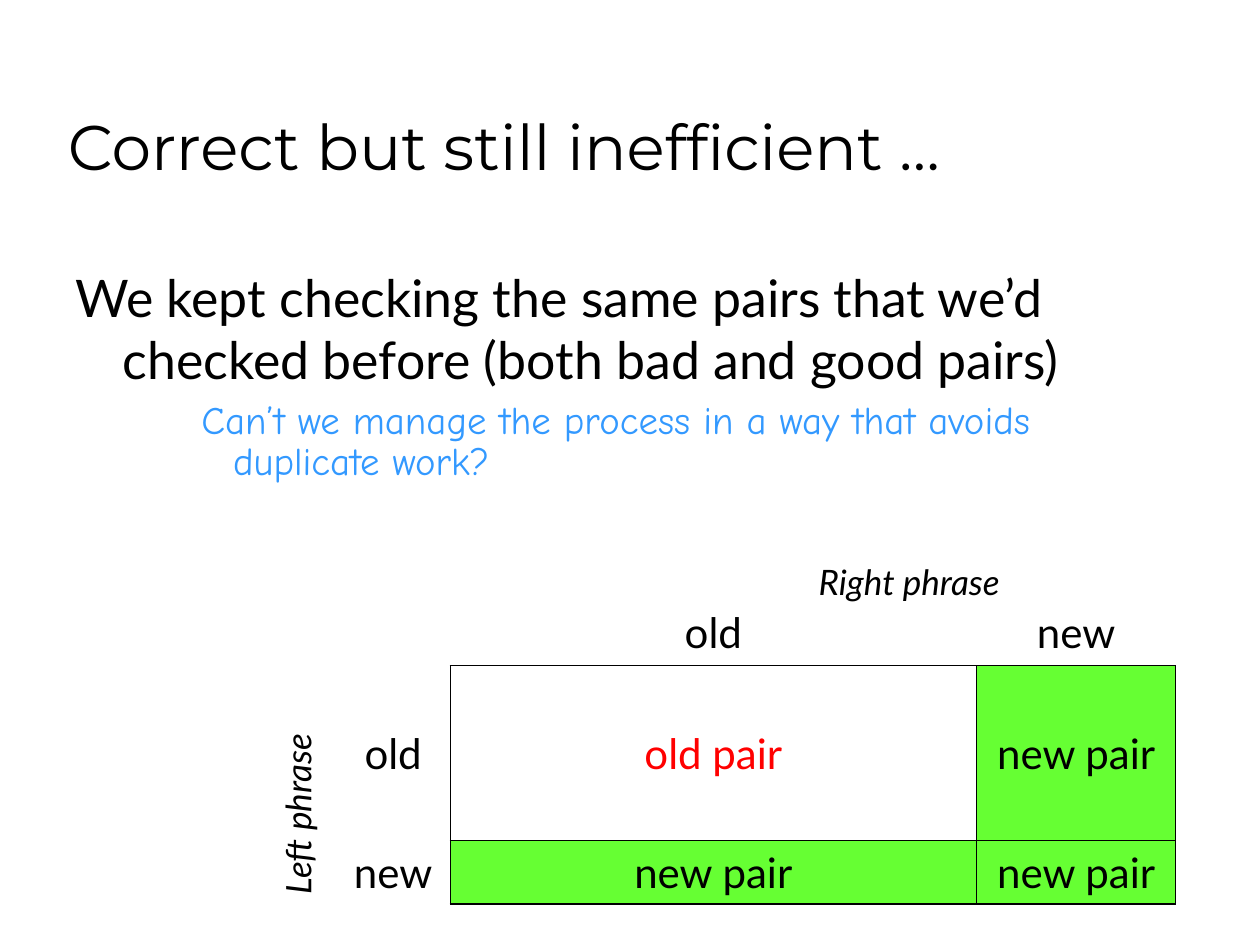
"""Build the slide on the duplicate checking of old and new phrase pairs."""
from dataclasses import dataclass

from lxml.etree import SubElement
from pptx import Presentation
from pptx.dml.color import RGBColor
from pptx.enum.text import MSO_ANCHOR as Anchor, MSO_AUTO_SIZE as AutoSize, PP_ALIGN as Align
from pptx.oxml.ns import qn
from pptx.util import Cm, Pt

BLACK, RED, BLUE, GREEN = "000000", "FF0000", "3399FF", "66FF33"
THIN, THICK = 0.45, 1.08
COLUMN_WIDTHS = (2.29, 10.62, 4.01)
ROW_HEIGHTS = (1.35, 3.53, 1.27)
PHRASES = ("old", "new")


@dataclass
class AxisLabel:
    text: str
    left: float
    top: float
    width: float
    rotation: float = 0


AXIS_LABELS = (
    AxisLabel("Left phrase", 4.01, 15.85, 3.99, 270),
    AxisLabel("Right phrase", 16.08, 11.18, 4.5),
)


def color(value: str) -> RGBColor:
    return RGBColor.from_string(value)


def write(paragraph, text: str, *, size: float, font: str = "Lato", fill: str = BLACK,
          italic: bool = False, align=Align.LEFT, before: float = 0,
          line_spacing: float = 1, margin: float = 0, indent: float = 0) -> None:
    run = paragraph.add_run()
    run.text = text
    run.font.size, run.font.name, run.font.italic = Pt(size), font, italic
    run.font.color.rgb = color(fill)
    paragraph.alignment, paragraph.line_spacing = align, line_spacing
    paragraph.space_before = Pt(before)
    properties = paragraph._p.get_or_add_pPr()
    properties.set("marL", str(Cm(margin)))
    properties.set("indent", str(Cm(indent)))


def add_box(slide, left: float, top: float, width: float, height: float, wrap: bool = True):
    shape = slide.shapes.add_textbox(Cm(left), Cm(top), Cm(width), Cm(height))
    shape.text_frame.word_wrap = wrap
    return shape


def add_axis_label(slide, label: AxisLabel) -> None:
    shape = add_box(slide, label.left, label.top, label.width, 1.12, wrap=False)
    shape.rotation = label.rotation
    shape.text_frame.auto_size = AutoSize.SHAPE_TO_FIT_TEXT
    write(shape.text_frame.paragraphs[0], label.text, size=20, italic=True, align=Align.CENTER)


def set_borders(cell, widths: dict[str, float]) -> None:
    properties = cell._tc.get_or_add_tcPr()
    for side in "LRTB":
        width = widths.get(side, 0)
        line = SubElement(properties, qn(f"a:ln{side}"), w=str(Pt(width)))
        if width:
            solid = SubElement(line, qn("a:solidFill"))
            SubElement(solid, qn("a:srgbClr"), val=BLACK)
        else:
            SubElement(line, qn("a:noFill"))


def cell_borders(row: int, column: int) -> dict[str, float]:
    if row and column:
        return {"L": THIN, "T": THIN,
                "R": THICK if column == 2 else THIN,
                "B": THICK if row == 2 else THIN}
    if row:
        return {"R": THIN}
    return {"B": THIN} if column else {}


def cell_content(row: int, column: int) -> tuple[str, str, str | None]:
    if not (row and column):
        index = row or column
        return (PHRASES[index - 1] if index else ""), BLACK, None
    if row == column == 1:
        return "old pair", RED, None
    return "new pair", BLACK, GREEN


def add_pair_table(slide) -> None:
    table = slide.shapes.add_table(
        len(ROW_HEIGHTS), len(COLUMN_WIDTHS), Cm(6.78), Cm(12.07),
        Cm(sum(COLUMN_WIDTHS)), Cm(sum(ROW_HEIGHTS))).table
    table.first_row = table.horz_banding = False
    for column, width in zip(table.columns, COLUMN_WIDTHS):
        column.width = Cm(width)
    for row_index, height in enumerate(ROW_HEIGHTS):
        table.rows[row_index].height = Cm(height)
        for column_index in range(len(COLUMN_WIDTHS)):
            cell = table.cell(row_index, column_index)
            text, text_color, background = cell_content(row_index, column_index)
            cell.vertical_anchor = Anchor.MIDDLE
            set_borders(cell, cell_borders(row_index, column_index))
            if background:
                cell.fill.solid()
                cell.fill.fore_color.rgb = color(background)
            else:
                cell.fill.background()
            if text:
                write(cell.text_frame.paragraphs[0], text, size=24, fill=text_color,
                      align=Align.CENTER, before=6)


def main() -> None:
    presentation = Presentation()
    presentation.slide_width, presentation.slide_height = Cm(25.4), Cm(19.05)
    slide = presentation.slides.add_slide(presentation.slide_layouts[6])

    title = add_box(slide, 1.12, 0.64, 23.75, 3.18).text_frame
    title.vertical_anchor = Anchor.BOTTOM
    write(title.paragraphs[0], "Correct but still inefficient …", size=36, font="Montserrat")

    body = add_box(slide, 1.27, 5.23, 22.71, 5.77).text_frame
    write(body.paragraphs[0],
          "We kept checking the same pairs that we’d checked before (both bad and good pairs)",
          size=29.6, before=8, margin=0.95, indent=-0.95)
    question = body.add_paragraph()
    question.level = 2
    write(question, "Can’t we manage the process in a way that avoids duplicate work?",
          size=22.2, font="Comic Neue", fill=BLUE, before=6, line_spacing=0.9,
          margin=3.18, indent=-0.64)

    add_pair_table(slide)
    for label in AXIS_LABELS:
        add_axis_label(slide, label)
    presentation.save("out.pptx")


if __name__ == "__main__":
    main()
